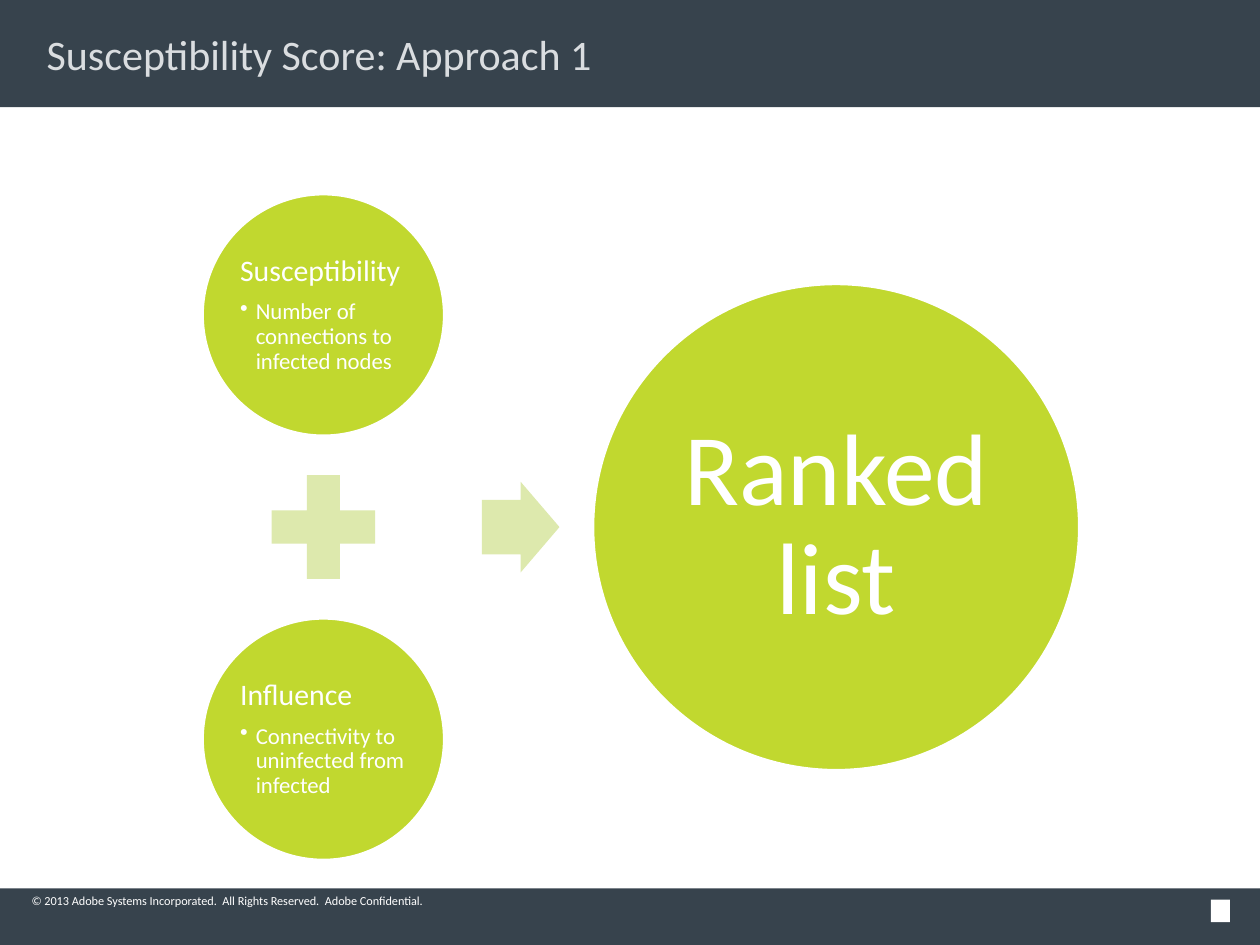
from lxml import etree
from pptx import Presentation
from pptx import util as u
from pptx.dml.color import RGBColor
from pptx.enum import shapes, text
from pptx.oxml import ns

Pt = u.Pt
SHAPE = shapes.MSO_SHAPE
ALIGN = text.PP_ALIGN
ANCHOR = text.MSO_ANCHOR

SLATE = RGBColor(0x37, 0x43, 0x4D)
LIME = RGBColor(0xC1, 0xD8, 0x2F)
PALE_LIME = RGBColor(0xDD, 0xE9, 0xAD)
WHITE = RGBColor(0xFF, 0xFF, 0xFF)
TITLE_GREY = RGBColor(0xDA, 0xDD, 0xE0)
FONT = "Calibri"

# Content
TITLE = "Susceptibility Score: Approach 1"
COPYRIGHT = "© 2013 Adobe Systems Incorporated.  All Rights Reserved.  Adobe Confidential."
FACTORS = [
    ("Susceptibility", "Number of connections to infected nodes"),
    ("Influence", "Connectivity to uninfected from infected"),
]
RESULT = "Ranked list"

# Layout, in points
WIDTH, HEIGHT = 720, 540
HEADER_HEIGHT, FOOTER_HEIGHT = 61.2, 32.4
MIDDLE_Y = 301.2
FACTOR_LEFT, FACTOR_SIZE = 115.5, 138.6
PLUS_SIZE, STACK_GAP = 80.6, 11.6
ARROW_LEFT, ARROW_WIDTH, ARROW_HEIGHT = 275.4, 44.3, 51.8
RESULT_LEFT, RESULT_SIZE = 338.6, 278.4

HEADING = {"line_spacing": 0.9, "space_after": Pt(7), "alignment": ALIGN.LEFT}
BULLET = {"line_spacing": 0.9, "space_after": Pt(2), "alignment": ALIGN.LEFT}
CENTRED = {"line_spacing": 0.9, "alignment": ALIGN.CENTER}


def set_values(target, values):
    for name, value in values.items():
        setattr(target, name, value)


def add_shape(slide, kind, left, top, width, height, fill, outlined=False):
    shape = slide.shapes.add_shape(kind, Pt(left), Pt(top), Pt(width), Pt(height))
    shape.shadow.inherit = False
    shape.fill.solid()
    shape.fill.fore_color.rgb = fill
    if outlined:
        shape.line.color.rgb = WHITE
        shape.line.width = Pt(2)
    else:
        shape.line.fill.background()
    return shape


def set_frame(shape, anchor, side, top):
    frame = shape.text_frame
    set_values(frame, {
        "word_wrap": True, "auto_size": text.MSO_AUTO_SIZE.NONE,
        "vertical_anchor": anchor,
        "margin_left": Pt(side), "margin_right": Pt(side),
        "margin_top": Pt(top), "margin_bottom": Pt(top),
    })
    return frame


def write(paragraph, words, size, values, color=WHITE):
    set_values(paragraph, values)
    run = paragraph.add_run()
    run.text = words
    set_values(run.font, {"name": FONT, "size": Pt(size)})
    run.font.color.rgb = color


def add_bullet(paragraph, indent):
    properties = paragraph._p.get_or_add_pPr()
    properties.set("marL", str(Pt(indent)))
    properties.set("indent", str(-Pt(indent)))
    etree.SubElement(properties, ns.qn("a:buChar")).set("char", "•")


def add_bands(slide):
    footer_top = HEIGHT - FOOTER_HEIGHT
    add_shape(slide, SHAPE.RECTANGLE, 0, 0, WIDTH, HEADER_HEIGHT, SLATE)
    add_shape(slide, SHAPE.RECTANGLE, 0, footer_top, WIDTH, FOOTER_HEIGHT, SLATE)
    # Plain mark in the footer corner
    add_shape(slide, SHAPE.RECTANGLE, 691.9, 514.1, 11, 12.9, WHITE)
    box = slide.shapes.add_textbox(Pt(18), Pt(510.5), Pt(306), Pt(8.6))
    frame = set_frame(box, ANCHOR.BOTTOM, 0, 0)
    write(frame.paragraphs[0], COPYRIGHT, 7, {"alignment": ALIGN.LEFT})


def add_title(slide):
    title = slide.shapes.title
    set_values(title, {"left": Pt(18), "top": Pt(14.4),
                       "width": Pt(684), "height": Pt(32.4)})
    frame = set_frame(title, ANCHOR.MIDDLE, 8.64, 4.32)
    write(frame.paragraphs[0], TITLE, 24, {"alignment": ALIGN.LEFT}, TITLE_GREY)
    # Bring the title in front of the header band
    slide.shapes._spTree.append(title._element)


def add_equation(slide):
    # Factors above and below the plus sign
    offset = PLUS_SIZE / 2 + STACK_GAP + FACTOR_SIZE / 2
    for (heading, detail), side in zip(FACTORS, (-1, 1)):
        top = MIDDLE_Y + side * offset - FACTOR_SIZE / 2
        circle = add_shape(slide, SHAPE.OVAL, FACTOR_LEFT, top,
                           FACTOR_SIZE, FACTOR_SIZE, LIME, outlined=True)
        frame = set_frame(circle, ANCHOR.MIDDLE, 1.4, 1.4)
        write(frame.paragraphs[0], heading, 17, HEADING)
        paragraph = frame.add_paragraph()
        paragraph.level = 1
        add_bullet(paragraph, 9)
        write(paragraph, detail, 13, BULLET)

    plus_left = FACTOR_LEFT + (FACTOR_SIZE - PLUS_SIZE) / 2
    add_shape(slide, SHAPE.MATH_PLUS, plus_left, MIDDLE_Y - PLUS_SIZE / 2,
              PLUS_SIZE, PLUS_SIZE, PALE_LIME)

    # Arrow to the result
    arrow = add_shape(slide, SHAPE.RIGHT_ARROW, ARROW_LEFT, MIDDLE_Y - ARROW_HEIGHT / 2,
                      ARROW_WIDTH, ARROW_HEIGHT, PALE_LIME)
    arrow.adjustments[0] = 0.6
    arrow.adjustments[1] = 0.5

    result = add_shape(slide, SHAPE.OVAL, RESULT_LEFT, MIDDLE_Y - RESULT_SIZE / 2,
                       RESULT_SIZE, RESULT_SIZE, LIME, outlined=True)
    frame = set_frame(result, ANCHOR.MIDDLE, 5.8, 5.8)
    write(frame.paragraphs[0], RESULT, 58, CENTRED)


def main():
    presentation = Presentation()
    set_values(presentation, {"slide_width": Pt(WIDTH), "slide_height": Pt(HEIGHT)})
    slide = presentation.slides.add_slide(presentation.slide_layouts[5])
    add_bands(slide)
    add_title(slide)
    add_equation(slide)
    presentation.save("out.pptx")


if __name__ == "__main__":
    main()
